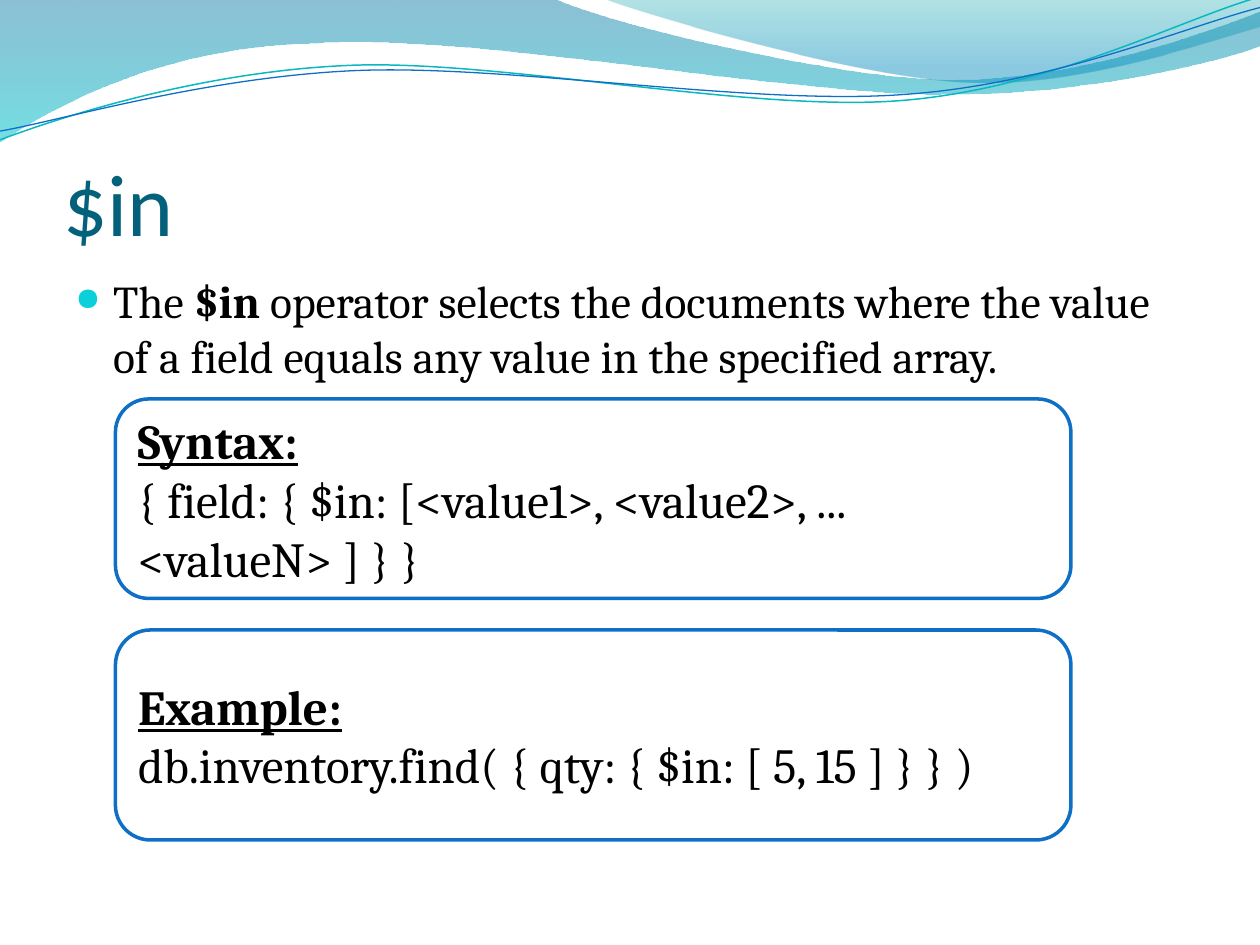
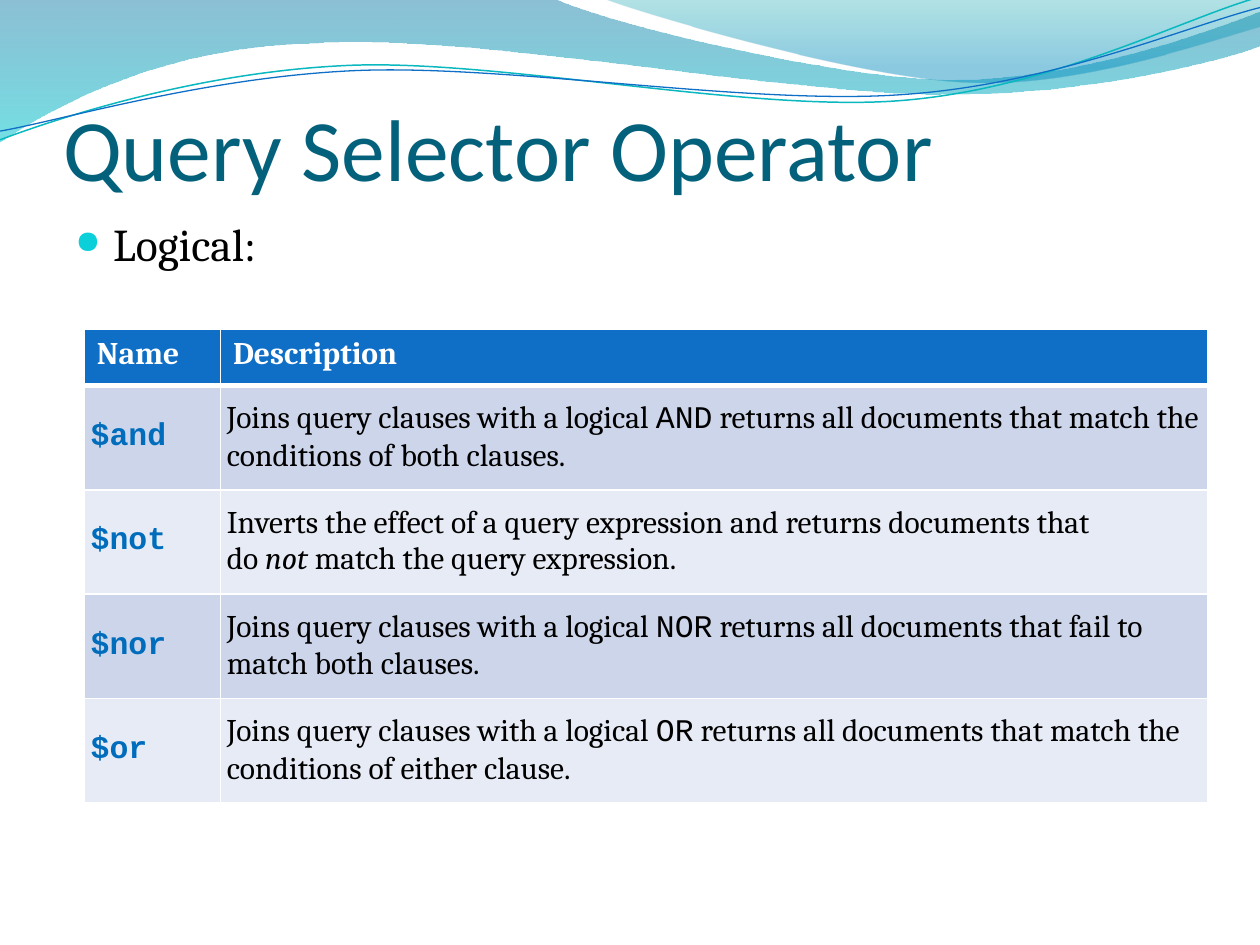
from lxml.etree import SubElement
from pptx import Presentation
from pptx.dml.color import RGBColor
from pptx.enum.shapes import MSO_SHAPE as Preset
from pptx.enum.text import MSO_ANCHOR as Anchor, MSO_AUTO_SIZE as AutoSize, PP_ALIGN as Align
from pptx.oxml.ns import qn
from pptx.util import Pt

# Shared colours and fonts
WHITE = RGBColor(0xFF, 0xFF, 0xFF)
BLACK = RGBColor(0x00, 0x00, 0x00)
TITLE_TEAL = RGBColor(0x04, 0x61, 0x7B)
BULLET_CYAN = RGBColor(0x0B, 0xD0, 0xD9)
ACCENT_BLUE = RGBColor(0x0F, 0x6F, 0xC6)
LINE_TEAL = RGBColor(0x0A, 0xB8, 0xBF)
NAME_BLUE = RGBColor(0x00, 0x6C, 0xBC)
BAND_DARK = RGBColor(0xCC, 0xD5, 0xEA)
BAND_LIGHT = RGBColor(0xE7, 0xEB, 0xF5)
WAVE_BLUE = RGBColor(0x00, 0x74, 0xA1)
WAVE_CYAN = RGBColor(0x00, 0xC6, 0xCF)
CREST_TEAL = RGBColor(0x00, 0xA1, 0xA9)
CREST_BLUE = RGBColor(0x00, 0x8B, 0xBF)
TITLE_FONT, BODY_FONT, CODE_FONT = "Calibri", "Cambria", "Courier New"
NBSP = chr(160)  # keeps an operator on the line of its neighbour

# Wave outlines in points: a pair is a line's end, six numbers are a cubic curve
WAVE = [(0, 0), (316.8, -0.7), (342.7, 12.2, 478.1, 45.4, 545.8, 45.4),
        (614.2, 45.4, 689.8, 18.7, 720, 6.5), (720.7, 25.9),
        (707.8, 31.7, 626.4, 54.7, 537.1, 54), (447.8, 54, 275, 20.2, 185, 24.5),
        (92.9, 25.9, 33.1, 59.8, -0.7, 81.4)]
CREST = [(344.9, -0.7), (366.5, 7.9, 491, 44.6, 553.7, 46.8),
         (616.3, 49.7, 691.9, 23, 720, 15.1), (720, 0)]
TEAL_LINE = [(0, 79.9), (34.6, 67, 113.8, 41, 199.4, 37.4),
             (284.4, 33.8, 427, 64.1, 513.4, 57.6), (599.8, 51.1, 675.4, 10.8, 718.6, -1.4)]
BLUE_LINE = [(0, 74.9), (33.8, 69.1, 118.1, 43.9, 203.8, 40.3),
             (290.2, 36.7, 429.8, 60.5, 516.2, 54), (601.9, 48.2, 677.5, 15.1, 720, 4.3)]

BOLD = {"bold": True}
HEADING = {"bold": True, "underline": True}
CODE = {"name": CODE_FONT}


def joins(logic, result):
    return [(f"Joins query clauses with a logical{NBSP}", {}), (logic, CODE),
            (f"{NBSP}returns all documents that {result}.", {})]


OPERATORS = [
    ("$and", joins("AND", "match the conditions of both clauses")),
    ("$not", [(f"Inverts the effect of a query expression and returns documents that do{NBSP}", {}),
              ("not", {"italic": True}), (f"{NBSP}match the query expression.", {})]),
    ("$nor", joins("NOR", "fail to match both clauses")),
    ("$or", joins("OR", "match the conditions of either clause")),
]


def write_runs(paragraph, runs, size, color=BLACK, font_name=BODY_FONT):
    paragraph.alignment = Align.LEFT
    for text, style in runs:
        run = paragraph.add_run()
        run.text = text
        run.font.size = Pt(size)
        run.font.color.rgb = color
        for key, value in {"name": font_name, "bold": False, **style}.items():
            setattr(run.font, key, value)


def draw_outline(slide, outline, closed):
    """Draw through the segment ends, then bend the curved segments."""
    ends = [(Pt(segment[-2]), Pt(segment[-1])) for segment in outline]
    builder = slide.shapes.build_freeform(*ends[0])
    builder.add_line_segments(ends[1:], close=closed)
    drawn = builder.convert_to_shape()
    drawn.shadow.inherit = False
    segments = list(drawn.element.iter(qn("a:lnTo")))
    for line, segment in zip(segments, outline[1:]):
        if len(segment) == 6:
            line.tag = qn("a:cubicBezTo")
            line.remove(line[0])
            for x, y in zip(segment[::2], segment[1::2]):
                SubElement(line, qn("a:pt"), x=str(Pt(x) - drawn.left), y=str(Pt(y) - drawn.top))
    return drawn


def add_wave(slide, outline, stops):
    wave = draw_outline(slide, outline, True)
    wave.line.fill.background()
    wave.fill.gradient()
    wave.fill.gradient_angle = 270
    for stop, (position, color, _) in zip(wave.fill.gradient_stops, stops):
        stop.position = position
        stop.color.rgb = color
    colors = wave.element.spPr.iter(qn("a:srgbClr"))
    for color, (_, _, opacity) in zip(colors, stops):
        SubElement(color, qn("a:alpha"), val=str(opacity * 1000))
    return wave


def add_wave_line(slide, outline, color, width):
    wave_line = draw_outline(slide, outline, False)
    wave_line.fill.background()
    wave_line.line.color.rgb = color
    wave_line.line.width = Pt(width)
    return wave_line


def decorate_layout(layout, slide):
    """Build the wave band on a slide, then hand it to the shared layout."""
    for placeholder in list(layout.placeholders)[1:]:
        layout.shapes.element.remove(placeholder.element)
    band = [
        add_wave(slide, WAVE, [(0, WAVE_BLUE, 45), (1, WAVE_CYAN, 55)]),
        add_wave(slide, CREST, [(0, CREST_TEAL, 30), (0.8, CREST_BLUE, 45)]),
        add_wave_line(slide, TEAL_LINE, LINE_TEAL, 0.85),
        add_wave_line(slide, BLUE_LINE, ACCENT_BLUE, 0.75),
    ]
    for part in band:
        layout.shapes.element.append(part.element)


def place_title(slide, text, top):
    title = slide.shapes.title
    title.left, title.top, title.width, title.height = Pt(36), Pt(top), Pt(648), Pt(90)
    frame = title.text_frame
    frame.auto_size = AutoSize.NONE
    frame.vertical_anchor = Anchor.BOTTOM
    frame.margin_left = frame.margin_right = frame.margin_bottom = 0
    frame.margin_top = Pt(3.6)
    write_runs(frame.paragraphs[0], [(text, {})], 50, TITLE_TEAL, TITLE_FONT)


def add_bullet_text(slide, runs, top, height):
    body = slide.shapes.add_textbox(Pt(36), Pt(top), Pt(648), Pt(height))
    body.text_frame.word_wrap = True
    paragraph = body.text_frame.paragraphs[0]
    properties = paragraph._p.get_or_add_pPr()
    properties.set("marL", str(Pt(21.6)))
    properties.set("indent", str(-Pt(21.6)))
    bullet_color = SubElement(properties, qn("a:buClr"))
    SubElement(bullet_color, qn("a:srgbClr"), val=str(BULLET_CYAN))
    SubElement(properties, qn("a:buSzPct"), val="70000")
    SubElement(properties, qn("a:buChar"), char="●")
    write_runs(paragraph, runs, 26)


def add_code_card(slide, heading, code, top, height):
    card = slide.shapes.add_shape(Preset.ROUNDED_RECTANGLE, Pt(66), Pt(top), Pt(546), Pt(height))
    card.shadow.inherit = False
    card.fill.solid()
    card.fill.fore_color.rgb = WHITE
    card.line.color.rgb = ACCENT_BLUE
    card.line.width = Pt(2)
    frame = card.text_frame
    frame.word_wrap = True
    frame.vertical_anchor = Anchor.MIDDLE
    write_runs(frame.paragraphs[0], [(heading, HEADING)], 28)
    write_runs(frame.add_paragraph(), [(code, {})], 28)


def format_cell(cell, runs, fill, color=BLACK, header=False):
    properties = cell._tc.get_or_add_tcPr()
    for side in "LRTB":
        width = 3 if header and side == "B" else 1
        border = SubElement(properties, qn(f"a:ln{side}"), w=str(Pt(width)))
        border_fill = SubElement(border, qn("a:solidFill"))
        SubElement(border_fill, qn("a:srgbClr"), val=str(WHITE))
    cell.fill.solid()
    cell.fill.fore_color.rgb = fill
    if not header:
        cell.vertical_anchor = Anchor.MIDDLE
        cell.margin_left = cell.margin_right = Pt(3.6)
        cell.margin_top, cell.margin_bottom = Pt(7.9), Pt(8.6)
    write_runs(cell.text_frame.paragraphs[0], runs, 18, color)


def add_operator_table(slide, left, top):
    # Rows grow to fit their two lines of text
    widths, header_height, row_height = (77.8, 564.2), 32, 42.5
    height = header_height + row_height * len(OPERATORS)
    table = slide.shapes.add_table(len(OPERATORS) + 1, 2, Pt(left), Pt(top),
                                   Pt(sum(widths)), Pt(height)).table
    for column, width in zip(table.columns, widths):
        column.width = Pt(width)
    table.rows[0].height = Pt(header_height)
    for column, heading in enumerate(("Name", "Description")):
        format_cell(table.cell(0, column), [(heading, BOLD)], ACCENT_BLUE, WHITE, header=True)
    for row, (name, description) in enumerate(OPERATORS, 1):
        table.rows[row].height = Pt(row_height)
        band = BAND_DARK if row % 2 else BAND_LIGHT
        format_cell(table.cell(row, 0), [(name, {**CODE, **BOLD})], band, NAME_BLUE)
        format_cell(table.cell(row, 1), description, band)


def build_in_slide(slide):
    place_title(slide, "$in", 55.4)
    add_bullet_text(slide, [
        (f"The{NBSP}", {}), ("$in", BOLD),
        (f"{NBSP}operator selects the documents where the value of a field equals any value"
         " in the specified array.", {})], 152.6, 345.6)
    add_code_card(slide, "Syntax:", "{ field: { $in: [<value1>, <value2>, ... <valueN> ] } }",
                  228, 114)
    add_code_card(slide, "Example:", "db.inventory.find( { qty: { $in: [ 5, 15 ] } } )", 360, 120)


def build_logical_slide(slide):
    place_title(slide, "Query Selector Operator", 23.8)
    add_bullet_text(slide, [("Logical:", {})], 120, 378)
    add_operator_table(slide, 48.2, 188.2)


def main():
    deck = Presentation()
    deck.slide_width, deck.slide_height = Pt(720), Pt(540)
    title_only = deck.slide_layouts[5]
    in_slide, logical_slide = (deck.slides.add_slide(title_only) for _ in range(2))
    decorate_layout(title_only, in_slide)
    build_in_slide(in_slide)
    build_logical_slide(logical_slide)
    deck.save("out.pptx")


if __name__ == "__main__":
    main()
